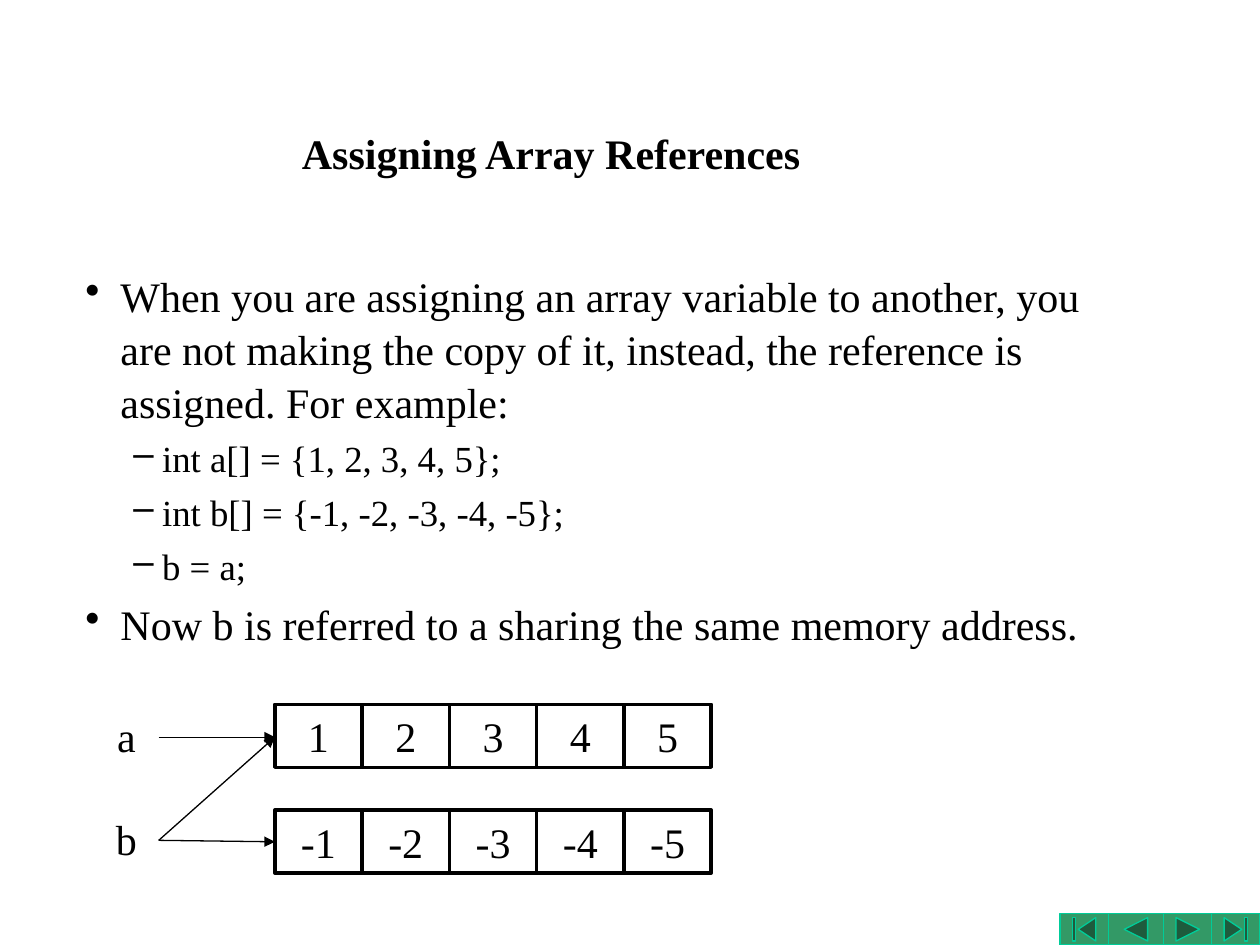
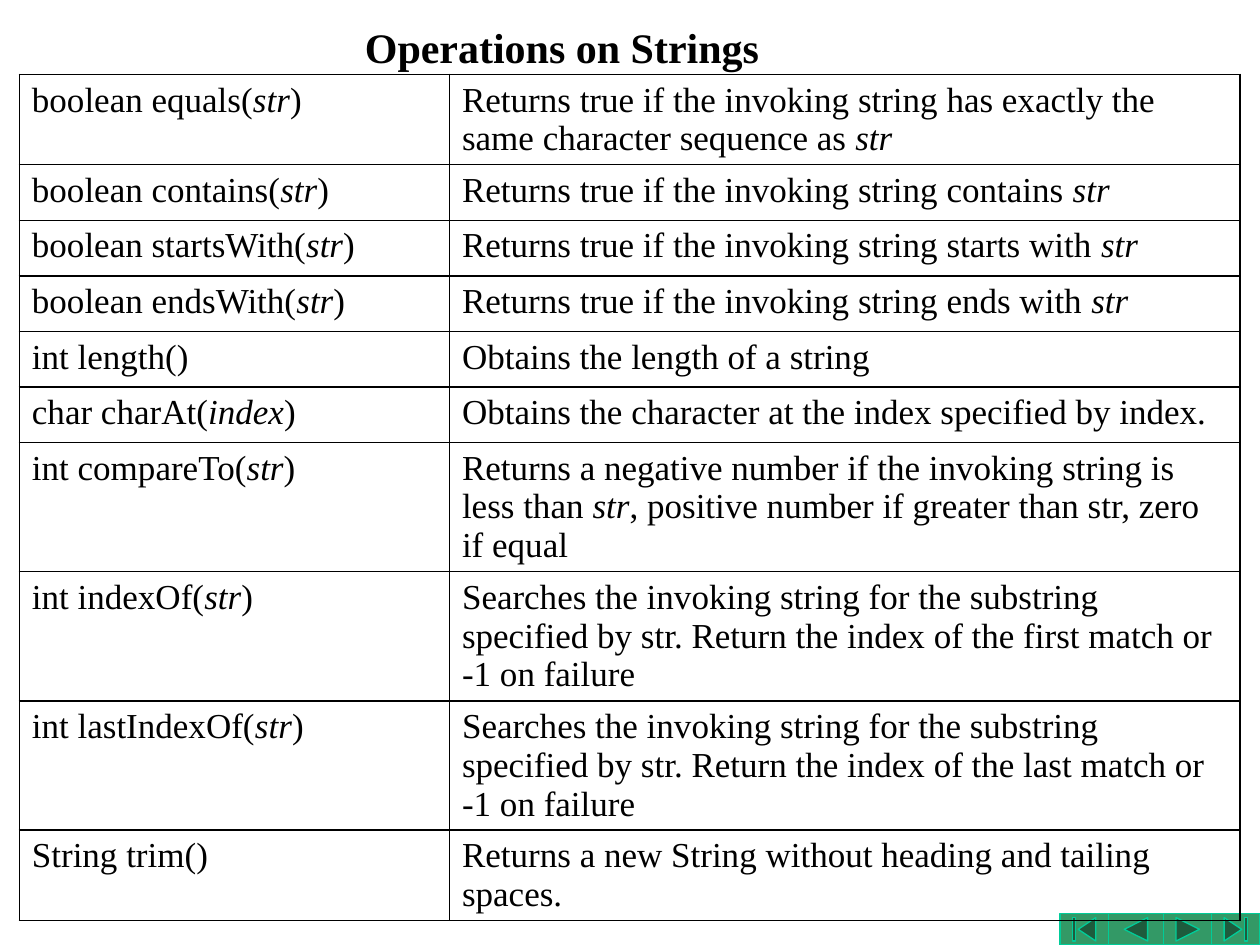
from dataclasses import dataclass

from lxml.etree import SubElement
from pptx import Presentation
from pptx.dml.color import RGBColor as RGB
from pptx.enum.shapes import MSO_CONNECTOR as CONN, MSO_SHAPE as SHAPE
from pptx.enum.text import MSO_ANCHOR as ANCHOR, MSO_AUTO_SIZE as FIT, PP_ALIGN as ALIGN
from pptx.oxml import parse_xml
from pptx.oxml.ns import nsdecls, qn
from pptx.util import Cm, Pt


@dataclass(frozen=True)
class Theme:
    font: str = "Times New Roman"
    ink: RGB = RGB(0x00, 0x00, 0x00)
    paper: RGB = RGB(0xFF, 0xFF, 0xFF)
    button: RGB = RGB(0x33, 0x99, 0x66)
    button_line: RGB = RGB(0x00, 0xCC, 0x99)
    main: float = 24
    code: float = 21
    table: float = 20


theme = Theme()


def add_runs(p, text, size, bold=False):
    """Add text to a paragraph; parts between asterisks are italic."""
    for i, part in enumerate(text.split("*")):
        if part:
            r = p.add_run()
            r.text = part
            r.font.name = theme.font
            r.font.size = Pt(size)
            r.font.bold = bold
            r.font.italic = i % 2 == 1
            r.font.color.rgb = theme.ink


def style_shape(sp, fill, line, width):
    sp.shadow.inherit = False
    sp.fill.solid()
    sp.fill.fore_color.rgb = fill
    sp.line.color.rgb = line
    sp.line.width = Pt(width)


prs = Presentation()
prs.slide_width, prs.slide_height = Cm(25.4), Cm(19.05)

# Shared by both slides: title and navigation buttons
buttons = [
    (SHAPE.ACTION_BUTTON_BEGINNING, 0.97),
    (SHAPE.ACTION_BUTTON_BACK_OR_PREVIOUS, 1.12),
    (SHAPE.ACTION_BUTTON_FORWARD_OR_NEXT, 0.97),
    (SHAPE.ACTION_BUTTON_END, 0.97),
]
titles = [("Assigning Array References", 1.9, 2.12), ("Operations on Strings", 2.12, 0)]
slides = []
for text, left, top in titles:
    s = prs.slides.add_slide(prs.slide_layouts[5])
    slides.append(s)
    x = 25.4 - sum(width for _, width in buttons)
    for kind, width in buttons:
        sp = s.shapes.add_shape(kind, Cm(x), Cm(18.42), Cm(width), Cm(0.63))
        style_shape(sp, theme.button, theme.button_line, 0.75)
        x += width

    title = s.shapes.title
    title.left, title.top, title.width, title.height = Cm(left), Cm(top), Cm(18.42), Cm(1.9)
    tf = title.text_frame
    tf.auto_size = FIT.NONE
    tf.vertical_anchor = ANCHOR.MIDDLE
    tf.paragraphs[0].alignment = ALIGN.CENTER
    add_runs(tf.paragraphs[0], text, theme.main, bold=True)
array_slide, string_slide = slides

# Slide 1: bulleted explanation
levels = [("•", theme.main, 0.71, 0.71), ("–", theme.code, 1.55, 0.58)]
bullets = [
    (0, "When you are assigning an array variable to another, you are not making "
        "the copy of it, instead, the reference is assigned. For example:"),
    (1, "int a[] = {1, 2, 3, 4, 5};"),
    (1, "int b[] = {-1, -2, -3, -4, -5};"),
    (1, "b = a;"),
    (0, "Now b is referred to a sharing the same memory address."),
]
tf = array_slide.shapes.add_textbox(Cm(1.47), Cm(5.28), Cm(21.59), Cm(8.1)).text_frame
tf.word_wrap = True
for i, (level, text) in enumerate(bullets):
    char, size, margin, hang = levels[level]
    p = tf.add_paragraph() if i else tf.paragraphs[0]
    p.level = level
    p.line_spacing = 1.05
    p.space_before = Pt(0.2 * size)
    pPr = p._p.get_or_add_pPr()
    pPr.set("marL", str(Cm(margin)))
    pPr.set("indent", str(-Cm(hang)))
    SubElement(pPr, qn("a:buChar"), char=char)
    add_runs(p, text, size)

# Slide 1: the two arrays with their variable names
arrays = [("a", 14.2, 14.2, range(1, 6)), ("b", 16.28, 16.33, range(-1, -6, -1))]
for name, label_top, top, values in arrays:
    sp = array_slide.shapes.add_textbox(Cm(1.9), Cm(label_top), Cm(1.3), Cm(1.27))
    tf = sp.text_frame
    tf.word_wrap = True
    tf.paragraphs[0].alignment = ALIGN.CENTER
    add_runs(tf.paragraphs[0], name, theme.main)
    for i, value in enumerate(values):
        sp = array_slide.shapes.add_shape(
            SHAPE.RECTANGLE, Cm(5.54 + 1.76 * i), Cm(top), Cm(1.76), Cm(1.27))
        style_shape(sp, theme.paper, theme.ink, 2)
        tf = sp.text_frame
        tf.vertical_anchor = ANCHOR.MIDDLE
        tf.paragraphs[0].alignment = ALIGN.CENTER
        add_runs(tf.paragraphs[0], str(value), theme.main)

# Slide 1: reference arrows, b pointing to both arrays
for start, end in [(14.86, 14.86), (16.94, 16.97), (16.94, 14.86)]:
    arrow = array_slide.shapes.add_connector(
        CONN.STRAIGHT, Cm(3.2), Cm(start), Cm(5.54), Cm(end))
    arrow.line.color.rgb = theme.ink
    arrow.line.width = Pt(0.75)
    SubElement(arrow.line._get_or_add_ln(), qn("a:tailEnd"), type="triangle")
    SubElement(arrow._element.spPr, qn("a:effectLst"))

# Slide 2: table of string methods (lines taken, method, meaning)
methods = [
    (2, "boolean equals(*str*)",
     "Returns true if the invoking string has exactly the same character sequence as *str*"),
    (1, "boolean contains(*str*)", "Returns true if the invoking string contains *str*"),
    (1, "boolean startsWith(*str*)", "Returns true if the invoking string starts with *str*"),
    (1, "boolean endsWith(*str*)", "Returns true if the invoking string ends with *str*"),
    (1, "int length()", "Obtains the length of a string"),
    (1, "char charAt(*index*)", "Obtains the character at the index specified by index."),
    (3, "int compareTo(*str*)",
     "Returns a negative number if the invoking string is less than *str*, "
     "positive number if greater than str, zero if equal"),
    (3, "int indexOf(*str*)",
     "Searches the invoking string for the substring specified by str. "
     "Return the index of the first match or -1 on failure"),
    (3, "int lastIndexOf(*str*)",
     "Searches the invoking string for the substring specified by str. "
     "Return the index of the last match or -1 on failure"),
    (2, "String trim()", "Returns a new String without heading and tailing spaces."),
]
row_heights = {1: 1.12, 2: 1.81, 3: 2.6}
total = sum(row_heights[lines] for lines, _, _ in methods)
table = string_slide.shapes.add_table(
    len(methods), 2, Cm(0.39), Cm(1.5), Cm(24.61), Cm(total)).table
table.first_row = table.horz_banding = False
table.columns[0].width, table.columns[1].width = Cm(8.67), Cm(15.94)
for row, (lines, *texts) in zip(table.rows, methods):
    row.height = Cm(row_heights[lines])
    for cell, text in zip(row.cells, texts):
        add_runs(cell.text_frame.paragraphs[0], text, theme.table)
        tcPr = cell._tc.get_or_add_tcPr()
        for side in ("lnL", "lnR", "lnT", "lnB"):
            tcPr.append(parse_xml(
                f'<a:{side} {nsdecls("a")} w="{Pt(1)}"><a:solidFill>'
                f'<a:srgbClr val="{theme.ink}"/></a:solidFill></a:{side}>'))
        cell.fill.background()

prs.save("out.pptx")
